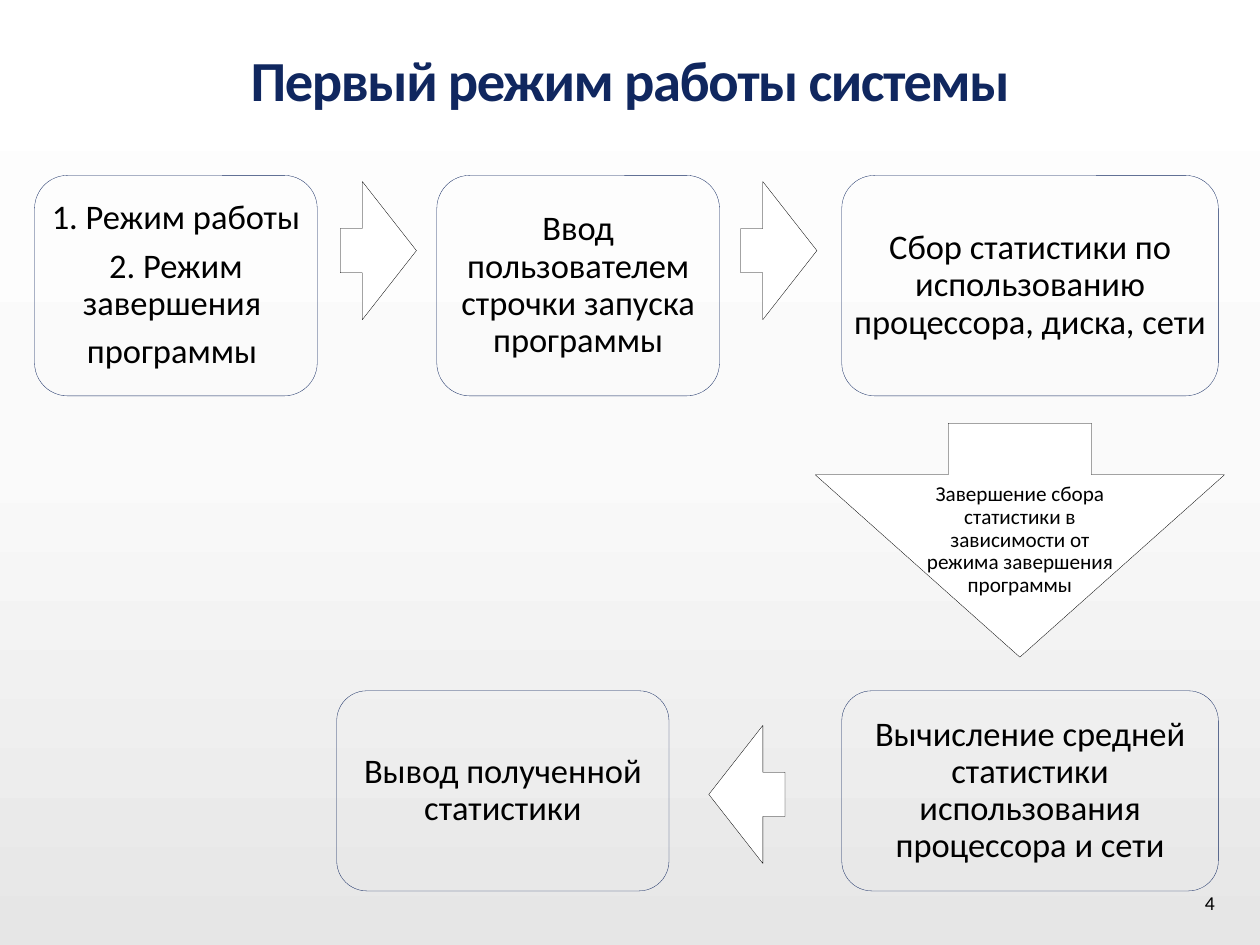
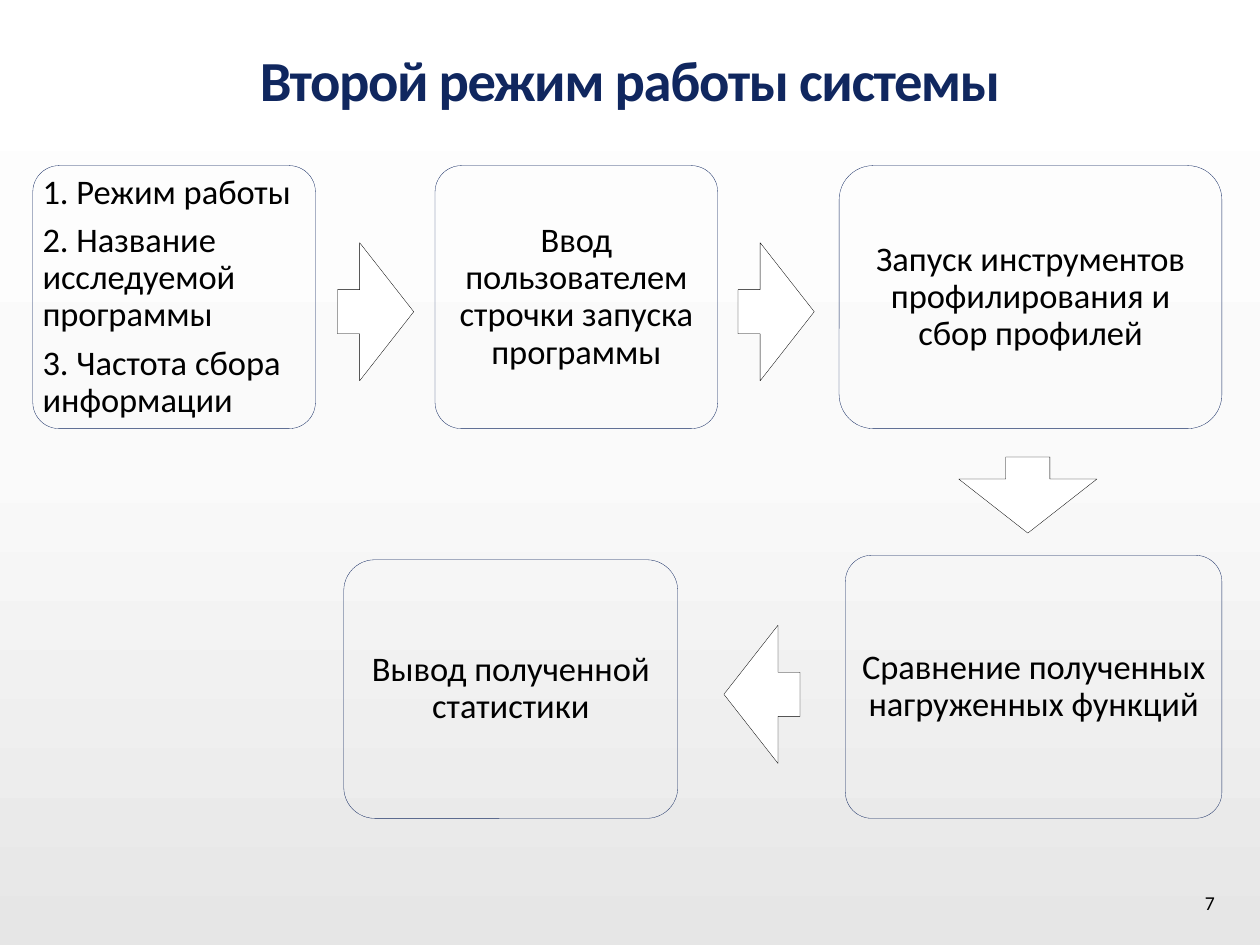
from copy import deepcopy

from pptx import Presentation
from pptx.dml.color import RGBColor
from pptx.enum.shapes import MSO_SHAPE as SHAPE
from pptx.enum.text import MSO_ANCHOR as ANCHOR, MSO_AUTO_SIZE as FIT, PP_ALIGN as ALIGN
from pptx.util import Inches, Pt

FONT, NAVY, BLACK, WHITE = "Calibri", "10275F", "000000", "FFFFFF"
BACKGROUND = [(0, "FFFFFF"), (0.48, "FAFAFA"), (1, "E6E6E6")]
TITLE_AT = (1.73, 0.39, 10.76, 0.94)
NUMBER_AT = (13.53, 10.01, 0.23, 0.37)
MARGIN, LIST_INSET = 0.05, 0.06
ARROW_LENGTH, ARROW_WIDTH = 0.86, 1.56
ARROW_ADJ = (0.32, 0.71)
ARROWS = {"right": SHAPE.RIGHT_ARROW, "left": SHAPE.LEFT_ARROW, "down": SHAPE.DOWN_ARROW}

SLIDES = [
    dict(
        title="Первый режим работы системы",
        number="4",
        options=["1. Режим работы", "2. Режим завершения ", "программы "],
        align=ALIGN.CENTER,
        options_box=((0.39, 1.98, 3.19, 2.49), 0.15),
        steps=[
            ("Ввод пользователем строчки запуска программы", (4.93, 1.98, 3.19, 2.49), 0.15, 0),
            ("Сбор статистики по использованию процессора, диска, сети",
             (9.5, 1.98, 4.25, 2.49), 0.15, 0),
            ("Вычисление средней статистики использования процессора и сети",
             (9.5, 7.8, 4.25, 2.26), 0.15, 0),
            ("Вывод полученной статистики", (3.8, 7.8, 3.75, 2.26), 0.15, 0),
        ],
        arrows=[("right", 3.84, 2.05), ("right", 8.36, 2.05), ("left", 8, 8.19)],
        finish=dict(
            text="Завершение сбора статистики в зависимости от режима завершения программы",
            arrow_at=(9.2, 4.78, 4.62, 2.64),
            adj=(0.35, 0.78),
            text_at=(10.39, 5.35, 2.24, 1.5),
        ),
    ),
    dict(
        title="Второй режим работы системы",
        number="7",
        options=["1. Режим работы", "2. Название исследуемой программы",
                 "3. Частота сбора информации"],
        align=ALIGN.LEFT,
        options_box=((0.37, 1.87, 3.19, 2.97), 0.1),
        steps=[
            ("Ввод пользователем строчки запуска программы", (4.91, 1.87, 3.19, 2.97), 0.1, 0),
            ("Запуск инструментов профилирования и сбор профилей",
             (9.47, 1.87, 4.32, 2.97), 0.13, 0.13),
            ("Сравнение полученных нагруженных функций", (9.54, 6.27, 4.25, 2.97), 0.1, 0),
            ("Вывод полученной статистики", (3.88, 6.32, 3.77, 2.92), 0.12, 0),
        ],
        arrows=[("right", 3.81, 2.74), ("right", 8.33, 2.74),
                ("down", 10.82, 5.16), ("left", 8.17, 7.06)],
        finish=None,
    ),
]


def rgb(value):
    return RGBColor.from_string(value)


def inches(at):
    return [Inches(v) for v in at]


def place(sp, at):
    sp.left, sp.top, sp.width, sp.height = inches(at)


def write(sp, lines, size=28, align=ALIGN.CENTER, color=BLACK, bold=False, spacing=0.9,
          before=0, side=MARGIN, anchor=ANCHOR.MIDDLE, wrap=True, fit=FIT.NONE):
    tf = sp.text_frame
    tf.text = "\n".join(lines)
    tf.word_wrap, tf.auto_size, tf.vertical_anchor = wrap, fit, anchor
    tf.margin_left = tf.margin_right = Inches(side)
    tf.margin_top = tf.margin_bottom = Inches(MARGIN)
    for p in tf.paragraphs:
        p.alignment, p.line_spacing = align, spacing
        p.space_before, p.space_after = Pt(before), Pt(0)
        for r in p.runs:
            r.font.name, r.font.size, r.font.bold = FONT, Pt(size), bold
            r.font.color.rgb = rgb(color)
    return tf


def add_outline(s, kind, at, adj, line, fill=None):
    sp = s.shapes.add_shape(kind, *inches(at))
    sp.shadow.inherit = False
    for i, value in enumerate(adj):
        sp.adjustments[i] = value
    if fill:
        sp.fill.solid()
        sp.fill.fore_color.rgb = rgb(fill)
    else:
        sp.fill.background()
    sp.line.color.rgb = rgb(line)
    sp.line.width = Pt(0.25)
    return sp


def add_box(s, at, radius):
    return add_outline(s, SHAPE.ROUNDED_RECTANGLE, at, [radius], NAVY)


def add_arrow(s, direction, at, adj=ARROW_ADJ):
    add_outline(s, ARROWS[direction], at, adj, BLACK, WHITE)


def set_background(master):
    fill = master.background.fill
    fill.gradient()
    fill.gradient_angle = 270
    stops = master.element.xpath("./p:cSld/p:bg//a:gsLst")[0]
    stops.append(deepcopy(stops[-1]))
    for stop, (position, color) in zip(fill.gradient_stops, BACKGROUND):
        stop.position = position
        stop.color.rgb = rgb(color)


def add_title(s, text):
    title = s.shapes.title
    place(title, TITLE_AT)
    tf = write(title, [text], 46, color=NAVY, bold=True, anchor=ANCHOR.BOTTOM)
    tf.paragraphs[0].runs[0].font._element.set("spc", "-110")


def add_options(s, lines, align, box):
    (x, y, w, h), radius = box
    body = s.placeholders[1]
    place(body, (x + LIST_INSET, y, w - 2 * LIST_INSET, h))
    tf = write(body, lines, align=align, before=9)
    for p in tf.paragraphs:
        pPr = p._p.get_or_add_pPr()
        pPr.set("marL", "0")
        pPr.set("indent", "0")
        pPr.append(pPr.makeelement(
            "{http://schemas.openxmlformats.org/drawingml/2006/main}buNone", {}))
    add_box(s, *box)


def add_finish(s, text, arrow_at, adj, text_at):
    add_arrow(s, "down", arrow_at, adj)
    write(s.shapes.add_textbox(*inches(text_at)), [text], 17.2)


def build_slide(prs, data):
    s = prs.slides.add_slide(prs.slide_layouts[1])
    add_title(s, data["title"])
    add_options(s, data["options"], data["align"], data["options_box"])
    for text, at, radius, side in data["steps"]:
        write(add_box(s, at, radius), [text], side=side)
    for direction, x, y in data["arrows"]:
        size = (ARROW_LENGTH, ARROW_WIDTH)
        if direction == "down":
            size = size[::-1]
        add_arrow(s, direction, (x, y, *size))
    if data["finish"]:
        add_finish(s, **data["finish"])
    write(s.shapes.add_textbox(*inches(NUMBER_AT)), [data["number"]], 16, ALIGN.RIGHT,
          spacing=1.0, wrap=False, fit=FIT.SHAPE_TO_FIT_TEXT)


def main():
    prs = Presentation()
    prs.slide_width, prs.slide_height = Inches(14.22), Inches(10.67)
    set_background(prs.slide_master)
    for data in SLIDES:
        build_slide(prs, data)
    prs.save("out.pptx")


if __name__ == "__main__":
    main()
